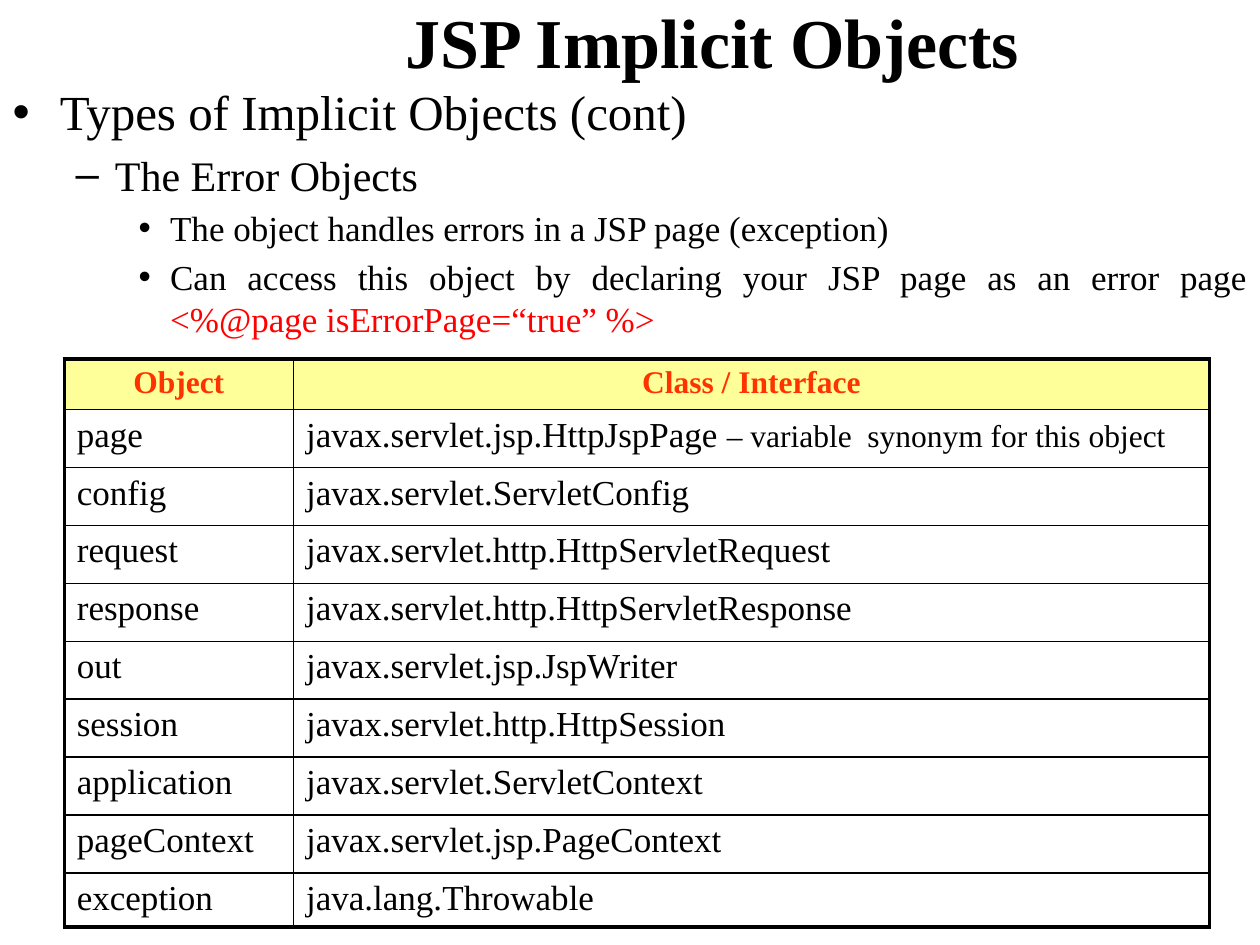
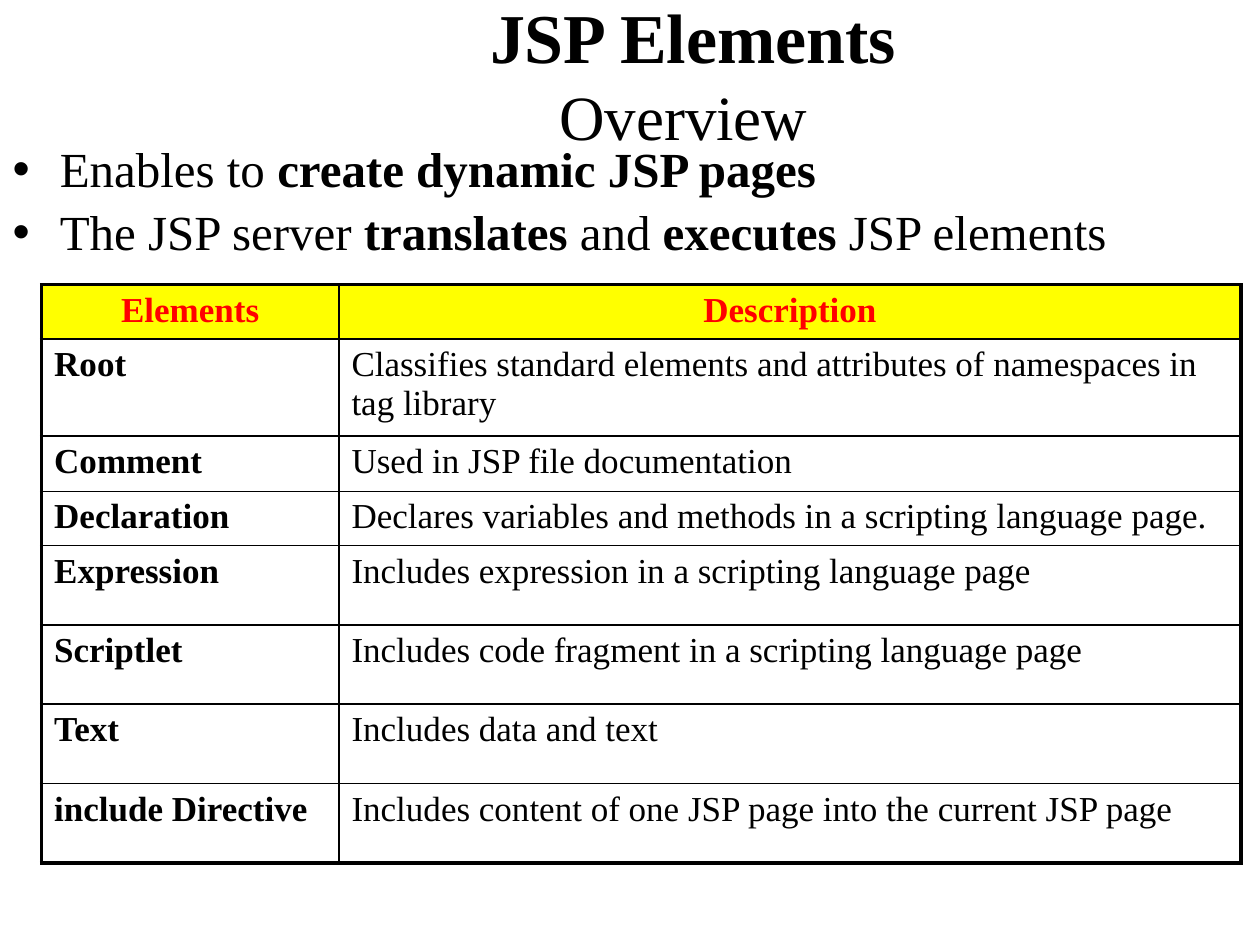
from lxml import etree
from pptx import Presentation
from pptx import util as u
from pptx.dml.color import RGBColor
from pptx.enum import text
from pptx.oxml.ns import qn

FONT = "Times New Roman"
BLACK, RED = "000000", "FF0000"
LEVEL_SIZES = [28, 24, 20]
THICK, THIN = 2.25, 1


def write(paragraph, words, size=20, color=BLACK, bold=False):
    """Add one formatted run; a newline becomes a line break."""
    if words == "\n":
        paragraph.add_line_break()
        etree.SubElement(paragraph._p[-1], qn("a:rPr"), sz=str(size * 100))
        return
    run = paragraph.add_run()
    run.text = words
    run.font.name = FONT
    run.font.size = u.Pt(size)
    run.font.bold = bold
    run.font.color.rgb = RGBColor.from_string(color)


def add_border(cell, side, points):
    line = etree.SubElement(cell._tc.get_or_add_tcPr(), qn(f"a:ln{side}"),
                            w=str(u.Pt(points)))
    fill = etree.SubElement(line, qn("a:solidFill"))
    etree.SubElement(fill, qn("a:srgbClr"), val=BLACK)


# Content: boxes are left, top, width, height in inches
BOLD = {"bold": True}
implicit_objects = {
    "title_box": (1.45, 0, 8.55, 0.65),
    "title": [("JSP Implicit Objects ", {"size": 40, "bold": True})],
    "title_spacing": 1,
    "body_box": (0, 0.6, 10, 2.31),
    "body_spacing": 1,
    "body": [
        (0, [("Types of Implicit Objects (cont)", {})]),
        (1, [("The Error Objects", {})]),
        (2, [("The object handles errors in a JSP page (exception)", {})]),
        (2, [("Can access this object by declaring your JSP page as an error page ", {}),
             ("<%@page isErrorPage=“true” %> ", {"color": RED})]),
    ],
    "table_at": (0.51, 2.85),
    "columns": [1.82, 7.27],
    "row_heights": [0.4] + [0.46] * 8 + [0.43],
    "header_fill": "FFFF99",
    "header_format": {"size": 18, "color": "FF3300", "bold": True},
    "name_format": {},
    "rows": [
        ("Object", "Class / Interface"),
        ("page", "javax.servlet.jsp.HttpJspPage "),
        ("config", "javax.servlet.ServletConfig"),
        ("request", "javax.servlet.http.HttpServletRequest"),
        ("response", "javax.servlet.http.HttpServletResponse"),
        ("out", "javax.servlet.jsp.JspWriter"),
        ("session", "javax.servlet.http.HttpSession"),
        ("application", "javax.servlet.ServletContext"),
        ("pageContext", "javax.servlet.jsp.PageContext"),
        ("exception", "java.lang.Throwable"),
    ],
}
jsp_elements = {
    "title_box": (1, 0, 9, 1.29),
    "title": [("JSP Elements", {"size": 40, "bold": True}), ("\n", {"size": 40}),
              ("Overview", {"size": 36}), (" ", {"size": 44, "bold": True})],
    "title_spacing": 0.85,
    "body_box": (0, 1.1, 10, 1.06),
    "body_spacing": 0.9,
    "body": [
        (0, [("Enables to ", {}), ("create dynamic JSP pages", BOLD)]),
        (0, [("The JSP server ", {}), ("translates", BOLD), (" and ", {}),
             ("executes", BOLD), (" JSP elements", {})]),
    ],
    "table_at": (0.33, 2.26),
    "columns": [2.36, 7.16],
    "row_heights": [0.43, 0.77, 0.44, 0.43] + [0.63] * 4,
    "header_fill": "FFFF00",
    "header_format": {"color": RED, "bold": True},
    "name_format": BOLD,
    "rows": [
        ("Elements", "Description"),
        ("Root", "Classifies standard elements and attributes of namespaces in tag library"),
        ("Comment", "Used in JSP file documentation"),
        ("Declaration", "Declares variables and methods in a scripting language page."),
        ("Expression", "Includes expression in a scripting language page"),
        ("Scriptlet", "Includes code fragment in a scripting language page"),
        ("Text", "Includes data and text"),
        ("include Directive", "Includes content of one JSP page into the current JSP page"),
    ],
}

presentation = Presentation()
presentation.slide_width, presentation.slide_height = u.Inches(10), u.Inches(7.5)

for content in (implicit_objects, jsp_elements):
    slide = presentation.slides.add_slide(presentation.slide_layouts[1])
    title, body = slide.shapes.title, slide.placeholders[1]
    for shape, box in ((title, content["title_box"]), (body, content["body_box"])):
        shape.left, shape.top, shape.width, shape.height = map(u.Inches, box)
        shape.text_frame.auto_size = text.MSO_AUTO_SIZE.NONE

    # Title
    paragraph = title.text_frame.paragraphs[0]
    paragraph.alignment = text.PP_ALIGN.CENTER
    paragraph.line_spacing = float(content["title_spacing"])
    for words, style in content["title"]:
        write(paragraph, words, **style)

    # Bulleted list, with the template's bullets and indents
    for index, (level, runs) in enumerate(content["body"]):
        frame = body.text_frame
        paragraph = frame.add_paragraph() if index else frame.paragraphs[0]
        paragraph.level = level
        paragraph.alignment = text.PP_ALIGN.JUSTIFY
        paragraph.line_spacing = float(content["body_spacing"])
        for words, style in runs:
            write(paragraph, words, size=LEVEL_SIZES[level], **style)

    # Table
    rows, columns, heights = content["rows"], content["columns"], content["row_heights"]
    left, top = content["table_at"]
    table = slide.shapes.add_table(
        len(rows), len(columns), u.Inches(left), u.Inches(top),
        u.Inches(sum(columns)), u.Inches(sum(heights))).table
    table.first_row = table.horz_banding = False
    for column, width in zip(table.columns, columns):
        column.width = u.Inches(width)
    for row, height in zip(table.rows, heights):
        row.height = u.Inches(height)

    for row_index, row in enumerate(rows):
        for column_index, words in enumerate(row):
            cell = table.cell(row_index, column_index)
            outer_sides = {"L": column_index == 0, "R": column_index == len(columns) - 1,
                           "T": row_index == 0, "B": row_index == len(rows) - 1}
            for side, is_outer in outer_sides.items():
                add_border(cell, side, THICK if is_outer else THIN)

            paragraph = cell.text_frame.paragraphs[0]
            if row_index == 0:
                cell.fill.solid()
                cell.fill.fore_color.rgb = RGBColor.from_string(content["header_fill"])
                paragraph.alignment = text.PP_ALIGN.CENTER
                style = content["header_format"]
            else:
                cell.fill.background()
                style = content["name_format"] if column_index == 0 else {}
            paragraph.space_before = u.Pt(0.2 * style.get("size", 20))
            write(paragraph, words, **style)

    # Smaller remark after the class of the page object
    if content is implicit_objects:
        write(table.cell(1, 1).text_frame.paragraphs[0],
              "– variable  synonym for this object", size=18)

presentation.save("out.pptx")
